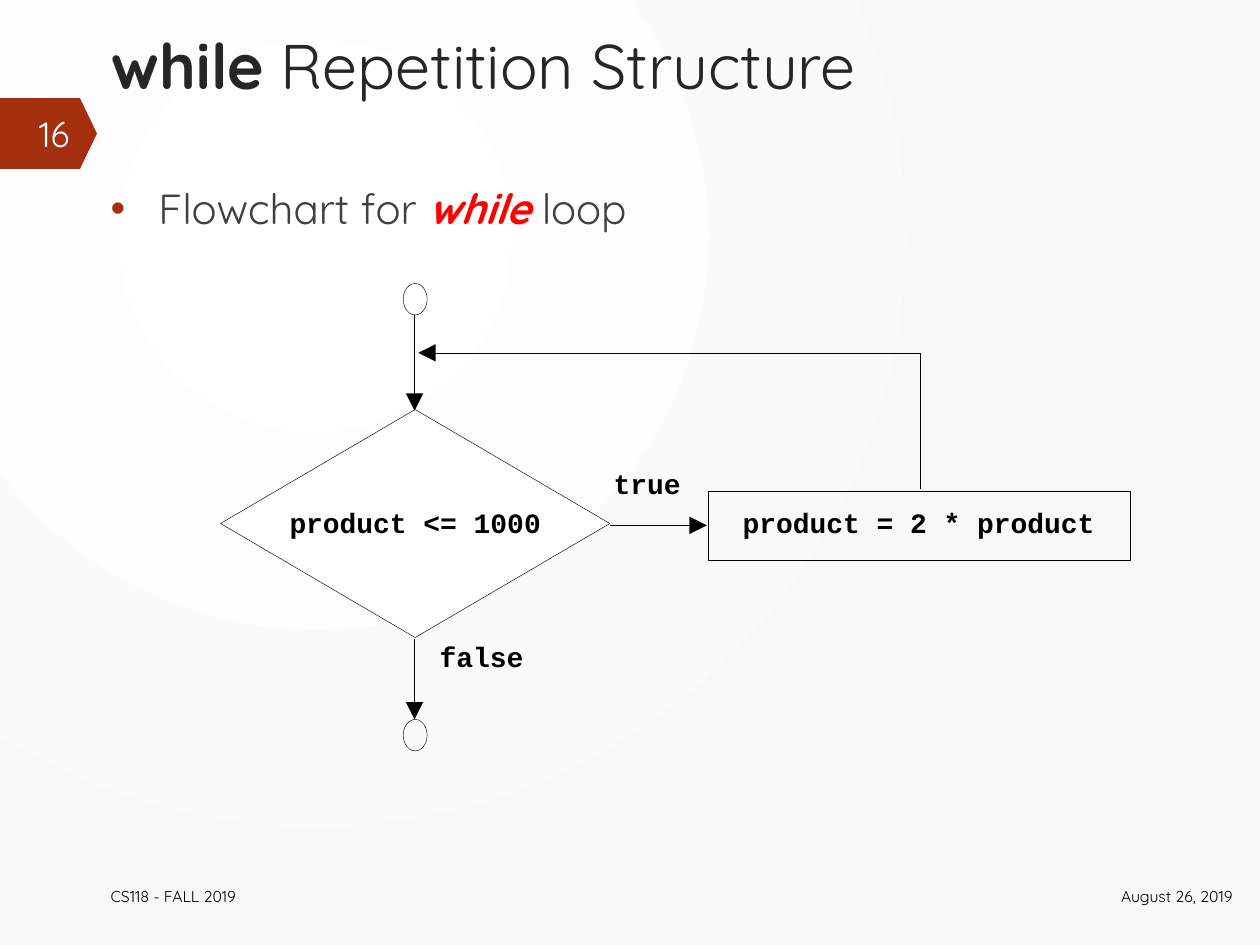
"""Builds the slide with the flowchart of a while loop."""
import lxml.etree
import pptx
import pptx.util
import pptx.dml.color
import pptx.enum.shapes
import pptx.enum.text
import pptx.oxml.ns

Inches, Pt = pptx.util.Inches, pptx.util.Pt
RGB = pptx.dml.color.RGBColor
SHAPE = pptx.enum.shapes.MSO_SHAPE
ALIGN = pptx.enum.text.PP_ALIGN
ANCHOR = pptx.enum.text.MSO_ANCHOR
qn = pptx.oxml.ns.qn

BLACK, WHITE, PALE = RGB(0, 0, 0), RGB(255, 255, 255), RGB(0xF8, 0xF8, 0xF8)
RUST, RED = RGB(0xA5, 0x30, 0x10), RGB(255, 0, 0)
TITLE_GREY, BODY_GREY = RGB(0x26, 0x26, 0x26), RGB(0x40, 0x40, 0x40)
NUMBER_WHITE = RGB(0xFE, 0xFF, 0xFF)

TITLE = {"name": "Quicksand", "size": Pt(36), "color": TITLE_GREY}
BODY = {"name": "Quicksand", "size": Pt(24), "color": BODY_GREY}
FOOTER = {"name": "Quicksand", "size": Pt(9), "color": BLACK}
NUMBER = {"name": "Quicksand", "size": Pt(20), "color": NUMBER_WHITE}
CODE = {"name": "Courier New", "size": Pt(16), "color": BLACK, "bold": True}
KEYWORD = {**BODY, "color": RED, "bold": True, "italic": True}

AXIS = 3.29
FRAME_TEXTS = [
    ((0.78, 0.16, 9.1, 0.89), ALIGN.LEFT, ANCHOR.TOP,
     [("while", {**TITLE, "bold": True}), (" Repetition Structure", TITLE)]),
    ((8.41, 6.91, 1.47, 0.4), ALIGN.RIGHT, ANCHOR.MIDDLE, [("August 26, 2019", FOOTER)]),
    ((0.78, 6.91, 6.81, 0.4), ALIGN.LEFT, ANCHOR.MIDDLE, [("CS118 - FALL 2019", FOOTER)]),
    ((0.01, 0.86, 0.64, 0.4), ALIGN.RIGHT, ANCHOR.MIDDLE, [("16", NUMBER)]),
]
BULLET_AREA = (0.78, 1.4, 9.1, 5.45)
BULLET = [("Flowchart for ", BODY), ("while ", KEYWORD), ("loop", BODY)]
NODES = [
    (SHAPE.DIAMOND, (1.75, 3.25, 3.09, 1.81), WHITE),
    (SHAPE.OVAL, (AXIS - 0.09, 2.25, 0.19, 0.25), None),
    (SHAPE.OVAL, (AXIS - 0.09, 5.71, 0.19, 0.25), None),
    (SHAPE.RECTANGLE, (5.62, 3.9, 3.35, 0.55), None),
]
FLOWS = [
    ((AXIS, 2.5), (AXIS, 3.26), True),
    ((AXIS, 5.07), (AXIS, 5.71), True),
    ((4.84, 4.17), (5.61, 4.17), True),
    ((7.3, 3.88), (7.3, 2.8), False),
    ((7.3, 2.8), (3.32, 2.8), True),
]
CODE_LABELS = [
    ("product <= 1000", (2.12, 4.01, 2.35, 0.4), ALIGN.CENTER),
    ("product = 2 * product", (5.68, 4.01, 3.22, 0.42), ALIGN.CENTER),
    ("true", (4.87, 3.7, 0.68, 0.5), ALIGN.LEFT),
    ("false", (3.49, 5.08, 0.84, 0.5), ALIGN.LEFT),
]

deck = pptx.Presentation()
deck.slide_width, deck.slide_height = Inches(10), Inches(7.5)
slide = deck.slides.add_slide(deck.slide_layouts[6])


def inches(lengths):
    return [Inches(length) for length in lengths]


def add_text(area, align, anchor, runs, inset=None):
    frame = slide.shapes.add_textbox(*inches(area)).text_frame
    frame.word_wrap = True
    frame.vertical_anchor = anchor
    if inset is not None:
        for side in ("left", "top", "right", "bottom"):
            setattr(frame, "margin_" + side, inset)
    paragraph = frame.paragraphs[0]
    paragraph.alignment = align
    for words, style in runs:
        run = paragraph.add_run()
        run.text = words
        for key, value in style.items():
            if key == "color":
                run.font.color.rgb = value
            else:
                setattr(run.font, key, value)
    return paragraph


def add_node(kind, area, fill, outlined=True):
    node = slide.shapes.add_shape(kind, *inches(area))
    node.shadow.inherit = False
    if fill is None:
        node.fill.background()
    else:
        node.fill.solid()
        node.fill.fore_color.rgb = fill
    if outlined:
        node.line.color.rgb = BLACK
        node.line.width = Pt(0.25)
    else:
        node.line.fill.background()
    return node


def add_flow(start, end, arrow):
    flow = slide.shapes.add_connector(
        pptx.enum.shapes.MSO_CONNECTOR.STRAIGHT, *inches(start + end))
    flow.line.color.rgb = BLACK
    flow.line.width = Pt(0.25)
    if arrow:
        lxml.etree.SubElement(flow.line._get_or_add_ln(), qn("a:tailEnd"),
                              type="triangle", w="lg", len="lg")
    lxml.etree.SubElement(flow._element.spPr, qn("a:effectLst"))


backdrop = slide.background.fill
backdrop.gradient()
for stop, color in zip(backdrop.gradient_stops, (WHITE, PALE)):
    stop.color.rgb = color
gradient = slide._element.find(".//" + qn("a:gradFill"))
glow = lxml.etree.Element(qn("a:path"), {"path": "circle"})
lxml.etree.SubElement(glow, qn("a:fillToRect"), l="50000", t="50000", r="100000", b="100000")
gradient.replace(gradient.find(qn("a:lin")), glow)

number_tag = add_node(SHAPE.PENTAGON, (0, 0.78, 0.77, 0.56), RUST, outlined=False)
number_tag.adjustments[0] = 0.24
for frame_text in FRAME_TEXTS:
    add_text(*frame_text)

bullet = add_text(BULLET_AREA, ALIGN.LEFT, ANCHOR.TOP, BULLET)
bullet.space_before = Pt(6)
layout = bullet._p.get_or_add_pPr()
layout.set("marL", str(Inches(0.38)))
layout.set("indent", str(Inches(-0.38)))
bullet_color = lxml.etree.SubElement(layout, qn("a:buClr"))
lxml.etree.SubElement(bullet_color, qn("a:srgbClr"), val=str(RUST))
lxml.etree.SubElement(layout, qn("a:buFont"), typeface="Arial")
lxml.etree.SubElement(layout, qn("a:buChar"), char="\u2022")

for node in NODES:
    add_node(*node)
for flow in FLOWS:
    add_flow(*flow)
for words, area, align in CODE_LABELS:
    add_text(area, align, ANCHOR.TOP, [(words, CODE)], inset=0)

deck.save("out.pptx")
